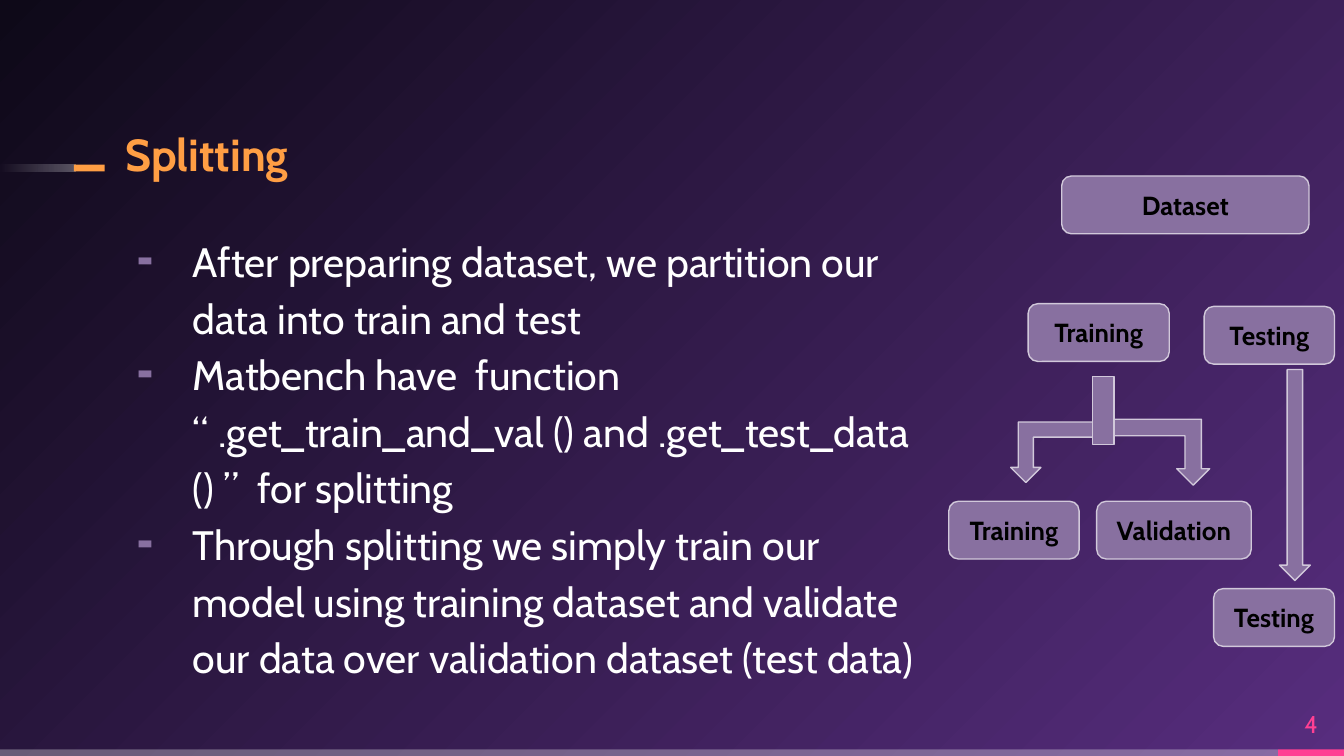
from lxml import etree
from pptx import Presentation, util as u
from pptx.dml.color import RGBColor
from pptx.enum import shapes, text
from pptx.oxml import parse_xml, ns

COLS, ROWS = 100, 56.25
CELL = u.Inches(0.1)

THEME = dict(
    font="Cabin", white="FFFFFF", black="000000", gold="FF9E44", pink="FF4093",
    mauve="8870A0", pale="D1C8DA", glow="572D7E", night="0E0918",
    title=24, body=22, label=14, number=13, edge=0.75,
)

TITLE = "Splitting"
POINTS = [
    "After preparing dataset, we partition our data into train and test",
    "Matbench have  function “ .get_train_and_val () and .get_test_data () ”  for splitting",
    "Through splitting we simply train our model using training dataset "
    "and validate our data over validation dataset (test data)",
]
PAGE = "4"

BOX_H = 4.3
NODES = [
    ("Dataset", 79, 13.1, 18.4),
    ("Training", 76.5, 22.6, 10.5),
    ("Testing", 89.6, 22.8, 9.7),
    ("Training", 70.6, 37.3, 9.7),
    ("Validation", 81.6, 37.3, 11.5),
    ("Testing", 90.3, 43.8, 9),
]
KIND = shapes.MSO_SHAPE
ARROWS = [
    (KIND.BENT_UP_ARROW, (75.2, 31.4, 6.4, 4.5), 180, False),
    (KIND.BENT_UP_ARROW, (82.9, 31.2, 7.1, 4.9), 180, True),
    (KIND.RECTANGLE, (81.3, 28, 1.6, 5.1), 0, False),
    (KIND.DOWN_ARROW, (95.2, 27.5, 2.3, 15.7), 0, False),
]

BAR_H = 0.5
FOOT = ROWS - BAR_H
SPLIT = 95.1
DASH_Y = 12.25
LEFT = 9.35


def place(box):
    return [round(n * CELL) for n in box]


def tint(name):
    return RGBColor.from_string(THEME[name])


def fade(stops, shade):
    marks = "".join(
        f'<a:gs pos="{pos * 1000}"><a:srgbClr val="{THEME[name]}">'
        f'<a:alpha val="{alpha * 1000}"/></a:srgbClr></a:gs>'
        for pos, name, alpha in stops
    )
    return parse_xml(
        f'<a:gradFill {ns.nsdecls("a")} rotWithShape="1">'
        f"<a:gsLst>{marks}</a:gsLst>{shade}</a:gradFill>"
    )


def paint(slide):
    fill = slide.background.fill
    fill.solid()
    fill.fore_color.rgb = tint("night")
    solid = slide.element.find(".//" + ns.qn("p:bgPr"))[0]
    shade = '<a:path path="circle"><a:fillToRect l="100000" t="100000"/></a:path>'
    solid.getparent().replace(
        solid, fade([(0, "glow", 100), (100, "night", 100)], shade))


def draw(slide, kind, box, fill, edge=None, alpha=None):
    shape = slide.shapes.add_shape(kind, *place(box))
    shape.shadow.inherit = False
    shape.fill.solid()
    shape.fill.fore_color.rgb = tint(fill)
    if alpha is not None:
        color = shape.element.spPr.find(".//" + ns.qn("a:srgbClr"))
        etree.SubElement(color, ns.qn("a:alpha")).set("val", str(alpha * 1000))
    if edge:
        shape.line.color.rgb = tint(edge)
        shape.line.width = u.Pt(THEME["edge"])
    else:
        shape.line.fill.background()
    return shape


def dot(para):
    props = para._p.get_or_add_pPr()
    props.set("marL", str(u.Inches(0.5)))
    props.set("indent", str(u.Inches(-0.4)))
    color = etree.SubElement(props, ns.qn("a:buClr"))
    etree.SubElement(color, ns.qn("a:srgbClr")).set("val", THEME["mauve"])
    etree.SubElement(props, ns.qn("a:buFont")).set("typeface", THEME["font"])
    etree.SubElement(props, ns.qn("a:buChar")).set("char", "╸")


def write(shape, lines, size, color, bold=False, align="LEFT",
          anchor="MIDDLE", space=None, bullet=False):
    frame = shape.text_frame
    frame.word_wrap = True
    frame.margin_left = frame.margin_right = 0
    frame.margin_top = frame.margin_bottom = 0
    frame.vertical_anchor = getattr(text.MSO_ANCHOR, anchor)
    for i, line in enumerate(lines):
        para = frame.add_paragraph() if i else frame.paragraphs[0]
        para.alignment = getattr(text.PP_ALIGN, align)
        if space:
            para.line_spacing = space
        if bullet:
            dot(para)
        run = para.add_run()
        run.text = line
        run.font.name = THEME["font"]
        run.font.size = u.Pt(THEME[size])
        run.font.bold = bold
        run.font.color.rgb = tint(color)


def area(slide, box):
    return slide.shapes.add_textbox(*place(box))


def trim(slide):
    rect = KIND.RECTANGLE
    draw(slide, rect, (0, FOOT, SPLIT, BAR_H), "white", alpha=30)
    draw(slide, rect, (SPLIT, FOOT, COLS - SPLIT, BAR_H), "pink")
    tail = draw(slide, rect, (0, DASH_Y, 5.6, BAR_H), "white")
    solid = tail.element.spPr.find(ns.qn("a:solidFill"))
    shade = '<a:lin ang="10800000" scaled="0"/>'
    tail.element.spPr.replace(
        solid, fade([(0, "white", 30), (100, "white", 0)], shade))
    draw(slide, rect, (5.5, DASH_Y, 2.3, BAR_H), "gold")


def flow(slide):
    for name, x, y, w in NODES:
        box = draw(slide, KIND.ROUNDED_RECTANGLE, (x, y, w, BOX_H), "mauve", "pale")
        write(box, [name], "label", "black", bold=True, align="CENTER")
    for kind, box, turn, flip in ARROWS:
        arrow = draw(slide, kind, box, "mauve", "pale")
        arrow.rotation = turn
        if flip:
            arrow.element.spPr.xfrm.set("flipH", "1")


def main():
    deck = Presentation()
    deck.slide_width, deck.slide_height = place((COLS, ROWS))
    slide = deck.slides.add_slide(deck.slide_layouts[6])
    paint(slide)
    trim(slide)
    write(area(slide, (LEFT, 9.15, 58, 4.3)), [TITLE], "title", "gold",
          bold=True, anchor="BOTTOM", space=0.9)
    write(area(slide, (LEFT, 17.05, 58.9, 37.4)), POINTS, "body", "white",
          anchor="TOP", space=1.15, bullet=True)
    write(area(slide, (SPLIT, 51.95, COLS - SPLIT, 3.8)), [PAGE], "number",
          "pink", align="CENTER")
    flow(slide)
    deck.save("out.pptx")


if __name__ == "__main__":
    main()
